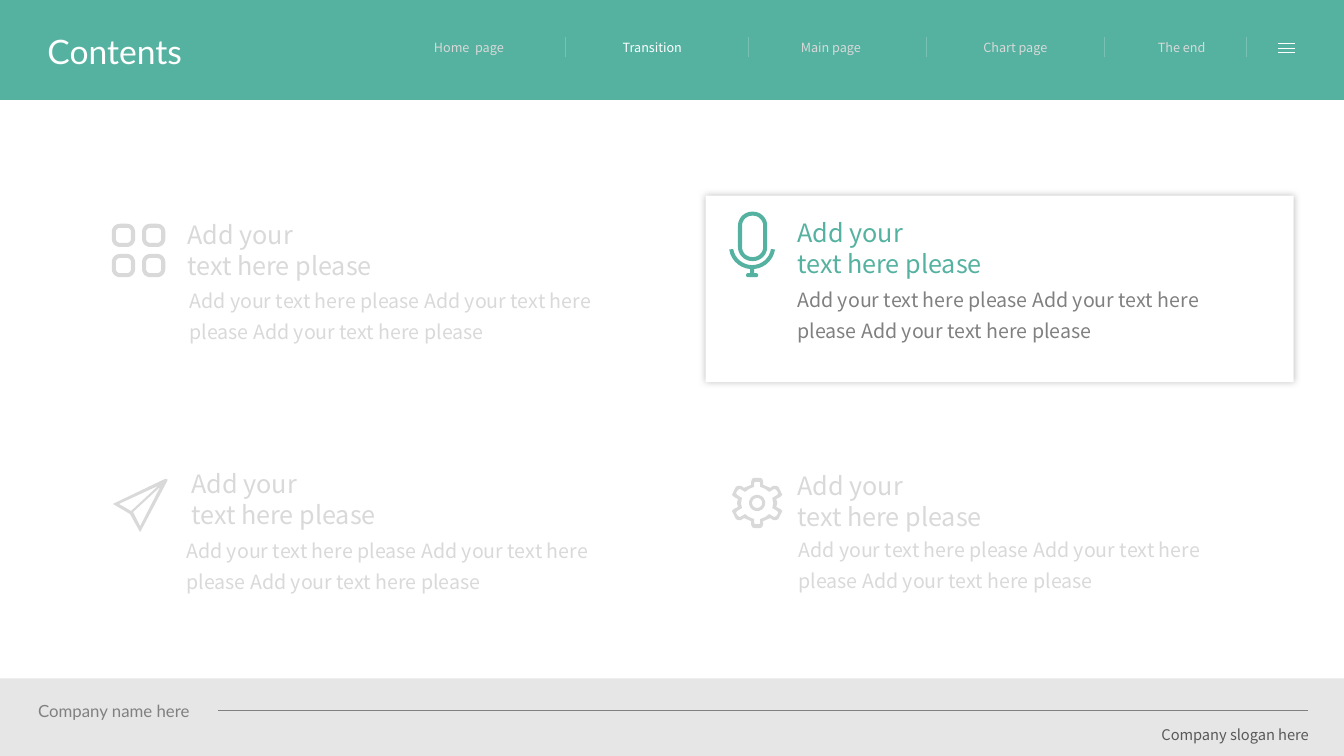
from dataclasses import dataclass
from itertools import product
from math import cos, radians, sin

from lxml.etree import SubElement as Sub
from pptx import Presentation
from pptx.dml.color import RGBColor as Rgb
from pptx.enum.shapes import MSO_CONNECTOR as Conn, MSO_SHAPE as Kind
from pptx.enum.text import MSO_ANCHOR as Anchor, MSO_AUTO_SIZE as Fit, PP_ALIGN as Align
from pptx.oxml.ns import qn
from pptx.util import Inches, Pt


@dataclass(frozen=True)
class Theme:
    teal: str = "55B2A0"
    mint: str = "78C2B4"
    white: str = "FFFFFF"
    pale: str = "D9D9D9"
    band: str = "E6E6E6"
    shade: str = "BFBFBF"
    gray: str = "808080"
    dark: str = "595959"
    sans: str = "Noto Sans CJK SC"
    lato: str = "Lato"
    title: float = 24
    head: float = 18
    body: float = 14
    name: float = 12
    slogan: float = 10.5
    nav: float = 9


T = Theme()


def place(shape, box):
    shape.left, shape.top, shape.width, shape.height = map(Inches, box)


def paint(shape, color):
    shape.shadow.inherit = False
    shape.fill.solid()
    shape.fill.fore_color.rgb = Rgb.from_string(color)
    shape.line.fill.background()


def write(shape, text, size, color, face=T.sans, align=Align.LEFT, space=None):
    frame = shape.text_frame
    frame.text = text
    frame.word_wrap = True
    frame.auto_size = Fit.SHAPE_TO_FIT_TEXT
    frame.vertical_anchor = Anchor.TOP
    for para in frame.paragraphs:
        para.alignment = align
        para.line_spacing = space
        para.font.size = Pt(size)
        para.font.name = face
        para.font.color.rgb = Rgb.from_string(color)


def label(slide, box, *args, **style):
    write(slide.shapes.add_textbox(*map(Inches, box)), *args, **style)


def panel(slide, box, color):
    shape = slide.shapes.add_shape(Kind.RECTANGLE, *map(Inches, box))
    paint(shape, color)
    return shape


def glow(shape):
    effects = shape.element.spPr.find(qn("a:effectLst"))
    shadow = Sub(effects, qn("a:outerShdw"), blurRad=str(Pt(5)), dist="0", dir="0")
    Sub(shadow, qn("a:srgbClr"), val=T.shade)


def rule(slide, start, end, color):
    line = slide.shapes.add_connector(Conn.STRAIGHT, *map(Inches, start + end))
    line.line.color.rgb = Rgb.from_string(color)
    line.line.width = Pt(0.5)
    Sub(line.element.spPr, qn("a:effectLst"))


def arc(x, y, size, start, end):
    steps = max(4, abs(end - start) // 10)
    turns = [radians(start + (end - start) * i / steps) for i in range(steps + 1)]
    return [(x + size * cos(a), y + size * sin(a)) for a in turns]


def pill(x, y, wide, high, curve):
    right, low = x + wide - curve, y + high - curve
    x, y = x + curve, y + curve
    return (arc(x, y, curve, 180, 270) + arc(right, y, curve, 270, 360)
            + arc(right, low, curve, 0, 90) + arc(x, low, curve, 90, 180))


def frame(x, y, wide, high, curve, edge=0.04):
    return [pill(x, y, wide, high, curve),
            pill(x + edge, y + edge, wide - 2 * edge, high - 2 * edge, curve - edge)]


def mirror(x, y, points):
    half = points + [(a, -b) for a, b in points[-2::-1]]
    return [(x + a, y - b) for a, b in half + [(-a, b) for a, b in half[::-1]]]


def icon(slide, loops, color):
    loops = [[(Inches(x), Inches(y)) for x, y in loop] for loop in loops]
    path = slide.shapes.build_freeform(*loops[0][0])
    path.add_line_segments(loops[0][1:])
    for loop in loops[1:]:
        path.move_to(*loop[0])
        path.add_line_segments(loop[1:])
    paint(path.convert_to_shape(), color)


def tiles():
    return [loop for i, j in product(range(2), repeat=2)
            for loop in frame(1.11 + 0.3 * i, 2.22 + 0.3 * j, 0.23, 0.23, 0.08)]


def mic():
    x, y = 7.46, 2.44
    stand = (arc(x, y, 0.23, 9, 85) + arc(7.5, 2.73, 0.02, -90, 90)
             + arc(7.42, 2.73, 0.02, 90, 270) + arc(x, y, 0.23, 95, 171)
             + arc(x, y, 0.19, 171, 9))
    stem = [(7.48, 2.71), (7.44, 2.71)]
    cut = stand.index(arc(x, y, 0.23, 95, 171)[0])
    foot = len(arc(x, y, 0.23, 9, 85))
    stand = stand[:foot] + stem[:1] + stand[foot:cut] + stem[1:] + stand[cut:]
    return [stand] + frame(7.32, 2.1, 0.29, 0.49, 0.14)


def plane():
    return [[(1.64, 4.75), (1.12, 5), (1.29, 5.1), (1.39, 5.28), (1.66, 4.77), (1.66, 4.75)],
            [(1.18, 5), (1.57, 4.82), (1.3, 5.07)],
            [(1.39, 5.22), (1.32, 5.08), (1.59, 4.83)]]


def gear():
    x, y = 7.51, 4.99
    outer = [(0.03, 0.25), (0.05, 0.24), (0.06, 0.21), (0.06, 0.18), (0.13, 0.15),
             (0.16, 0.17), (0.19, 0.17), (0.21, 0.16), (0.24, 0.1), (0.25, 0.08),
             (0.23, 0.06), (0.19, 0.04), (0.2, 0)]
    inner = [(0.02, 0.21), (0.03, 0.2), (0.03, 0.16), (0.08, 0.14), (0.12, 0.11),
             (0.17, 0.14), (0.19, 0.13), (0.21, 0.1), (0.2, 0.08), (0.15, 0.05), (0.16, 0)]
    return [mirror(x, y, outer), mirror(x, y, inner),
            arc(x, y, 0.08, 0, 360), arc(x, y, 0.05, 0, 360)]


def item(slide, loops, head, body, tint=T.pale, ink=T.pale):
    icon(slide, loops, tint)
    label(slide, head + (2.24, 0.71), "Add your\ntext here please", T.head, tint)
    text = " ".join(["Add your text here please"] * 3)
    label(slide, body + (4.5, 0.68), text, T.body, ink, space=1.3)


def header(slide):
    panel(slide, (0, 0, 13.33, 0.99), T.teal)
    title = slide.shapes.title
    title.element.getparent().append(title.element)
    place(title, (0.37, 0.26, 2.55, 0.5))
    write(title, "Contents", T.title, T.white, T.lato)
    tabs = [("Home  page", 3.93, 1.44, 5.61), ("Transition", 5.8, 1.34, 7.42),
            ("Main page", 7.57, 1.34, 9.19), ("Chart page", 9.34, 1.46, 10.95),
            ("The end", 11.24, 0.96, 12.36)]
    for text, x, wide, edge in tabs:
        color = T.white if text == "Transition" else T.pale
        label(slide, (x, 0.35, wide, 0.25), text, T.nav, color, align=Align.CENTER)
        rule(slide, (edge, 0.37), (edge, 0.57), T.mint)
    for y in (0.43, 0.48, 0.52):
        rule(slide, (12.68, y), (12.84, y), T.white)


def footer(slide):
    panel(slide, (0, 6.73, 13.33, 0.77), T.band)
    rule(slide, (2.16, 7.05), (12.97, 7.05), T.gray)
    label(slide, (0.28, 6.9, 2.16, 0.3), "Company name here", T.name, T.gray, T.lato)
    label(slide, (10.84, 7.15, 2.24, 0.28), "Company slogan here", T.slogan, T.dark,
          align=Align.RIGHT)


def main():
    deck = Presentation()
    deck.slide_width, deck.slide_height = Inches(13.33), Inches(7.5)
    slide = deck.slides.add_slide(deck.slide_layouts[5])
    glow(panel(slide, (7, 1.94, 5.83, 1.85), T.white))
    header(slide)
    item(slide, tiles(), (1.76, 2.13), (1.78, 2.75))
    item(slide, mic(), (7.81, 2.11), (7.81, 2.74), T.teal, T.gray)
    item(slide, plane(), (1.8, 4.6), (1.75, 5.23))
    item(slide, gear(), (7.81, 4.62), (7.82, 5.22))
    footer(slide)
    deck.save("out.pptx")


if __name__ == "__main__":
    main()
